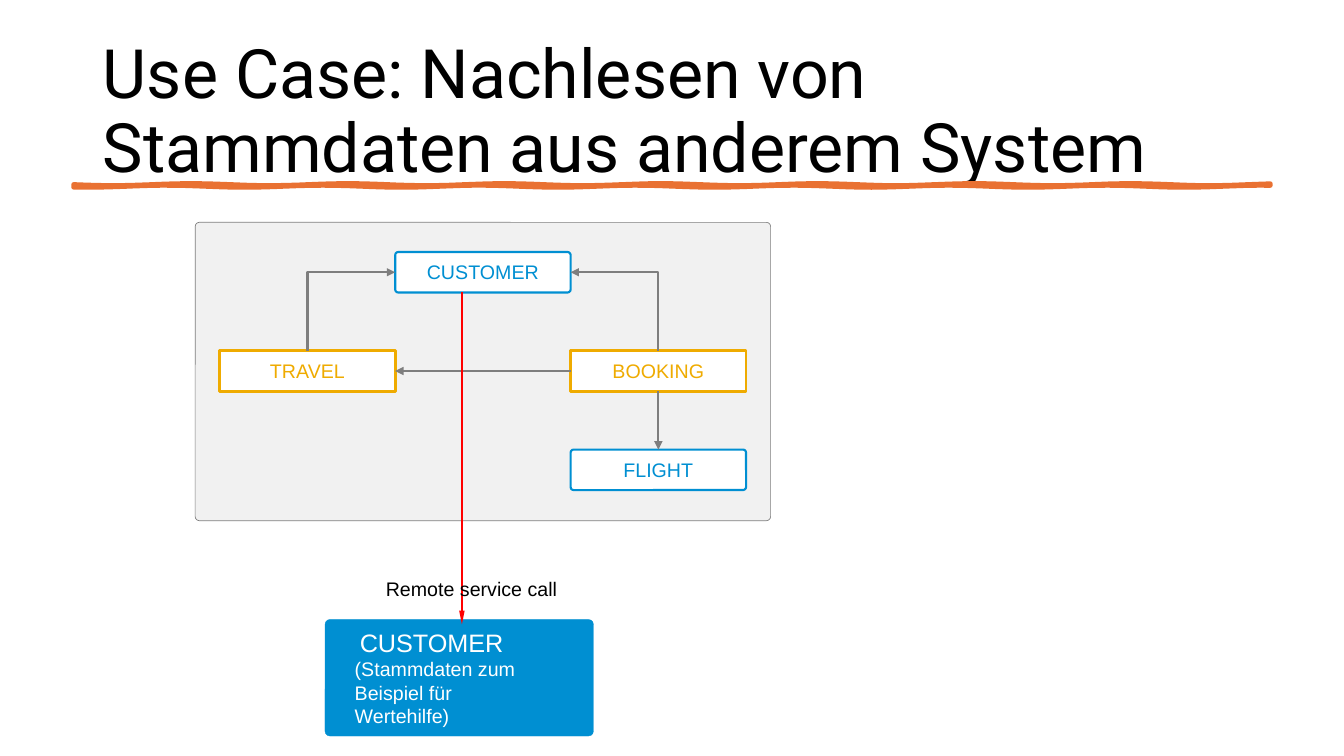
import math

from lxml import etree
from pptx import Presentation
from pptx import util as u
from pptx.dml.color import RGBColor
from pptx.enum import shapes, text
from pptx.oxml.ns import qn

COLORS = {
    "black": "000000",
    "white": "FFFFFF",
    "orange": "E97132",
    "panel": "F1F1F1",
    "gray": "7E7E7E",
    "blue": "008FD2",
    "gold": "EFAB00",
    "red": "FF0000",
}
LEFT, TOP = 2.18, 2.5
COLUMN, ROW = 1.74, 0.98
NODE_HEIGHT = 0.41
NODE_MIDDLE = NODE_HEIGHT / 2
CORNER = 0.03


def color(name):
    return RGBColor.from_string(COLORS[name])


def point(column, row):
    return u.Inches(LEFT + column * COLUMN), u.Inches(TOP + row * ROW)


def area(column, row, columns, rows):
    return (*point(column, row), u.Inches(columns * COLUMN), u.Inches(rows * ROW))


def format_paragraph(paragraph, size, font_color, font_name="Arial"):
    for run in paragraph.runs:
        run.font.size = u.Pt(size)
        run.font.name = font_name
        run.font.color.rgb = color(font_color)


def set_margins(frame, left=0, top=0, right=0, bottom=0):
    frame.margin_left, frame.margin_top = u.Inches(left), u.Inches(top)
    frame.margin_right, frame.margin_bottom = u.Inches(right), u.Inches(bottom)


def set_title(slide, words):
    title = slide.shapes.title
    title.left, title.top = u.Inches(0.92), u.Inches(0.4)
    title.width, title.height = u.Inches(11.5), u.Inches(1.45)
    frame = title.text_frame
    frame.text = words
    frame.word_wrap = True
    frame.auto_size = text.MSO_AUTO_SIZE.NONE
    frame.vertical_anchor = text.MSO_ANCHOR.MIDDLE
    paragraph = frame.paragraphs[0]
    paragraph.alignment = text.PP_ALIGN.LEFT
    paragraph.line_spacing = 0.9
    format_paragraph(paragraph, 48.6, "black", "Roboto")


def add_outline(slide, points, close):
    builder = slide.shapes.build_freeform(*points[0])
    builder.add_line_segments(points[1:], close=close)
    outline = builder.convert_to_shape()
    outline.shadow.inherit = False
    return outline


def add_brush_line(slide, left, top, width, steps=96):
    def edge(offset, phase):
        return [
            (u.Inches(left + width * step / steps),
             u.Inches(top + offset + 0.01 * math.sin(step * 0.5 + phase)))
            for step in range(steps + 1)
        ]

    brush = add_outline(slide, edge(0, 0) + edge(0.02, 1)[::-1], True)
    brush.fill.solid()
    brush.fill.fore_color.rgb = color("orange")
    brush.line.color.rgb = color("orange")
    brush.line.width = u.Pt(3.25)


def add_box(slide, place, fill, outline, line_width, corner=CORNER):
    kind = shapes.MSO_SHAPE.ROUNDED_RECTANGLE if corner else shapes.MSO_SHAPE.RECTANGLE
    box = slide.shapes.add_shape(kind, *place)
    if corner:
        box.adjustments[0] = u.Inches(corner) / box.height
    box.shadow.inherit = False
    box.fill.solid()
    box.fill.fore_color.rgb = color(fill)
    box.line.color.rgb = color(outline)
    box.line.width = u.Pt(line_width)
    return box


def add_node(slide, name, column, row, accent, line_width, corner):
    place = area(column, row, 1, NODE_HEIGHT)
    node = add_box(slide, place, "white", accent, line_width, corner)
    frame = node.text_frame
    frame.text = name
    set_margins(frame, bottom=0.01)
    frame.vertical_anchor = text.MSO_ANCHOR.MIDDLE
    frame.paragraphs[0].alignment = text.PP_ALIGN.CENTER
    format_paragraph(frame.paragraphs[0], 14, accent)


def format_arrow(arrow, line_color, line_width, head_width, head_length):
    arrow.line.color.rgb = color(line_color)
    arrow.line.width = u.Pt(line_width)
    etree.SubElement(arrow._element.spPr.find(qn("a:ln")), qn("a:tailEnd"),
                     type="triangle", w=head_width, len=head_length)


def add_elbow(slide, stops):
    elbow = add_outline(slide, [point(*stop) for stop in stops], False)
    elbow.fill.background()
    format_arrow(elbow, "gray", 1.5, "med", "med")


def add_arrow(slide, start, end, line_color="gray", line_width=1.5,
              head_width="med", head_length="med"):
    arrow = slide.shapes.add_connector(
        shapes.MSO_CONNECTOR.STRAIGHT, *point(*start), *point(*end))
    format_arrow(arrow, line_color, line_width, head_width, head_length)
    etree.SubElement(arrow._element.spPr, qn("a:effectLst"))


def add_remote_system(slide, name, note):
    box = add_box(slide, area(0.6, 3.72, 1.53, 1.18), "blue", "blue", 0.25, 0.05)
    frame = box.text_frame
    frame.word_wrap = True
    frame.vertical_anchor = text.MSO_ANCHOR.TOP
    frame.text = f"{name}\n{note}"
    set_margins(frame, left=0.28, top=0.06, right=0.62)
    for paragraph, size in zip(frame.paragraphs, (18, 14)):
        paragraph.alignment = text.PP_ALIGN.LEFT
        format_paragraph(paragraph, size, "white")
    frame.paragraphs[0]._p.get_or_add_pPr().set("marL", str(u.Inches(0.05)))


def add_label(slide, words):
    label = slide.shapes.add_textbox(*area(0.94, 3.27, 0.99, 0.27))
    frame = label.text_frame
    frame.text = words
    frame.word_wrap = False
    set_margins(frame, top=0.02)
    frame.paragraphs[0].alignment = text.PP_ALIGN.CENTER
    format_paragraph(frame.paragraphs[0], 14, "black")


def main():
    presentation = Presentation()
    presentation.slide_width = u.Inches(13.33)
    presentation.slide_height = u.Inches(7.5)
    slide = presentation.slides.add_slide(presentation.slide_layouts[5])
    set_title(slide, "Use Case: Nachlesen von Stammdaten aus anderem System")
    add_brush_line(slide, 0.73, 1.83, 11.87)
    add_box(slide, area(-0.14, -0.3, 3.28, 3.02), "panel", "gray", 0.48, 0.04)
    add_remote_system(slide, "CUSTOMER", "(Stammdaten zum Beispiel für Wertehilfe)")
    for name, column, row, accent, line_width, corner in (
        ("CUSTOMER", 1, 0, "blue", 1.5, CORNER),
        ("TRAVEL", 0, 1, "gold", 2, 0),
        ("BOOKING", 2, 1, "gold", 2, 0),
        ("FLIGHT", 2, 2, "blue", 1.5, CORNER),
    ):
        add_node(slide, name, column, row, accent, line_width, corner)
    for middle, side in ((0.5, 1), (2.5, 2)):
        add_elbow(slide, [(middle, 1), (middle, NODE_MIDDLE), (side, NODE_MIDDLE)])
    add_arrow(slide, (2, 1 + NODE_MIDDLE), (1, 1 + NODE_MIDDLE))
    add_arrow(slide, (2.5, 1 + NODE_HEIGHT), (2.5, 2))
    add_arrow(slide, (1.38, NODE_HEIGHT), (1.38, 3.77), "red", 1, "sm", "lg")
    add_label(slide, "Remote service call")
    presentation.save("out.pptx")


if __name__ == "__main__":
    main()
